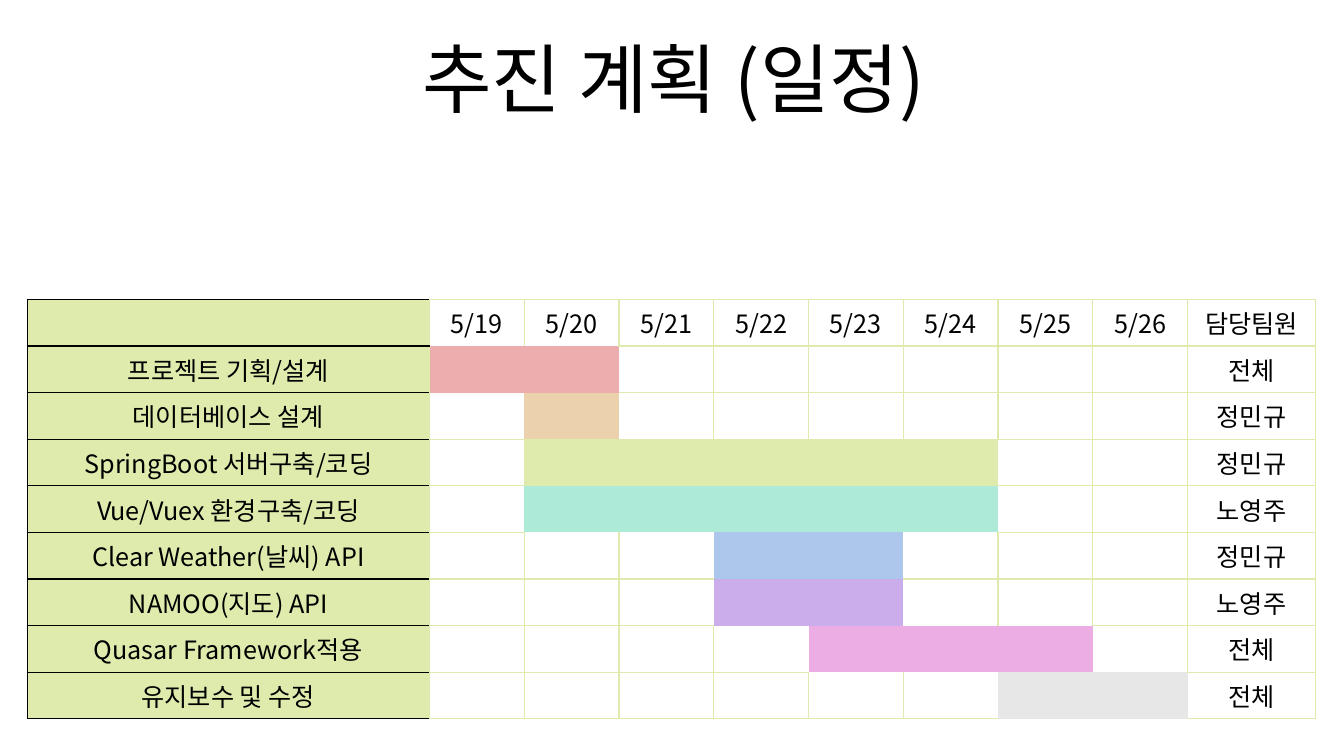
"""Build a project schedule slide with a Gantt-style table."""
from dataclasses import dataclass

from lxml import etree
from pptx import Presentation
from pptx.dml.color import RGBColor
from pptx.enum.text import MSO_ANCHOR as Anchor, PP_ALIGN as Align
from pptx.oxml.ns import qn
from pptx.util import Inches, Pt


@dataclass(frozen=True)
class Theme:
    font: str = "Noto Sans CJK KR"
    ink: str = "000000"
    green: str = "DEEBAD"
    red: str = "EBADAD"
    orange: str = "EBD2AD"
    mint: str = "ADEBD8"
    blue: str = "ADC6EB"
    purple: str = "CCADEB"
    pink: str = "EBADE4"
    grey: str = "E7E7E7"
    title_size: int = 54
    table_size: int = 18
    border: int = 1


theme = Theme()
days = [f"5/{day}" for day in range(19, 27)]
header = ["", *days, "담당팀원"]
tasks = [
    ("프로젝트 기획/설계", 1, 2, theme.red, "전체"),
    ("데이터베이스 설계", 2, 2, theme.orange, "정민규"),
    ("SpringBoot 서버구축/코딩", 2, 6, theme.green, "정민규"),
    ("Vue/Vuex 환경구축/코딩", 2, 6, theme.mint, "노영주"),
    ("Clear Weather(날씨) API", 4, 5, theme.blue, "정민규"),
    ("NAMOO(지도) API", 4, 5, theme.purple, "노영주"),
    ("Quasar Framework적용", 5, 7, theme.pink, "전체"),
    ("유지보수 및 수정", 7, 8, theme.grey, "전체"),
]


def write(frame, text, size):
    frame.text = text
    para = frame.paragraphs[0]
    para.alignment = Align.CENTER
    para.font.size = Pt(size)
    for span in para.runs:
        span.font.size = Pt(size)
        span.font.color.rgb = RGBColor.from_string(theme.ink)
        span.font.name = theme.font
        latin = span.font._element.find(qn("a:latin"))
        east_asian = etree.Element(qn("a:ea"), typeface=theme.font)
        latin.addnext(east_asian)


def set_borders(cell, colors):
    properties = cell._tc.get_or_add_tcPr()
    for index, (side, color) in enumerate(zip("LRTB", colors)):
        line = etree.Element(qn(f"a:ln{side}"), w=str(Pt(theme.border)))
        if color:
            fill = etree.SubElement(line, qn("a:solidFill"))
            etree.SubElement(fill, qn("a:srgbClr"), val=color)
        else:
            etree.SubElement(line, qn("a:noFill"))
        properties.insert(index, line)


deck = Presentation()
deck.slide_width, deck.slide_height = Inches(13.33), Inches(7.5)
page = deck.slides.add_slide(deck.slide_layouts[6])

row_count, column_count = len(tasks) + 1, len(header)
frame = page.shapes.add_table(
    row_count, column_count, Inches(0.27), Inches(2.97), Inches(12.79), Inches(3.65))
schedule = frame.table
schedule.first_row = False
schedule.horz_banding = False
for column, width in zip(schedule.columns, [3.99] + [0.94] * len(days) + [1.27]):
    column.width = Inches(width)

bars = {(row, column): color
        for row, (_, first, last, color, _) in enumerate(tasks, 1)
        for column in range(first, last + 1)}
texts = [header] + [[name, *[""] * len(days), owner] for name, _, _, _, owner in tasks]

for row, row_texts in enumerate(texts):
    for column, text in enumerate(row_texts):
        cell = schedule.cell(row, column)
        cell.vertical_anchor = Anchor.MIDDLE
        write(cell.text_frame, text, theme.table_size)
        fill_color = theme.green if column == 0 else bars.get((row, column))
        if fill_color:
            cell.fill.solid()
            cell.fill.fore_color.rgb = RGBColor.from_string(fill_color)
        else:
            cell.fill.background()
        if column == 0:
            edges = [theme.ink, theme.green, theme.ink, theme.ink]
        else:
            neighbours = [(row, column - 1), (row, column + 1),
                          (row - 1, column), (row + 1, column)]
            edges = [None if (row, column) in bars or near in bars else theme.green
                     for near in neighbours]
        set_borders(cell, edges)

title = page.shapes.add_textbox(Inches(0.35), Inches(0.37), Inches(12.66), Inches(0.79))
title.text_frame.word_wrap = True
title.text_frame.vertical_anchor = Anchor.TOP
write(title.text_frame, "추진 계획 (일정)", theme.title_size)
title.text_frame.paragraphs[0].line_spacing = 0.9

deck.save("out.pptx")
